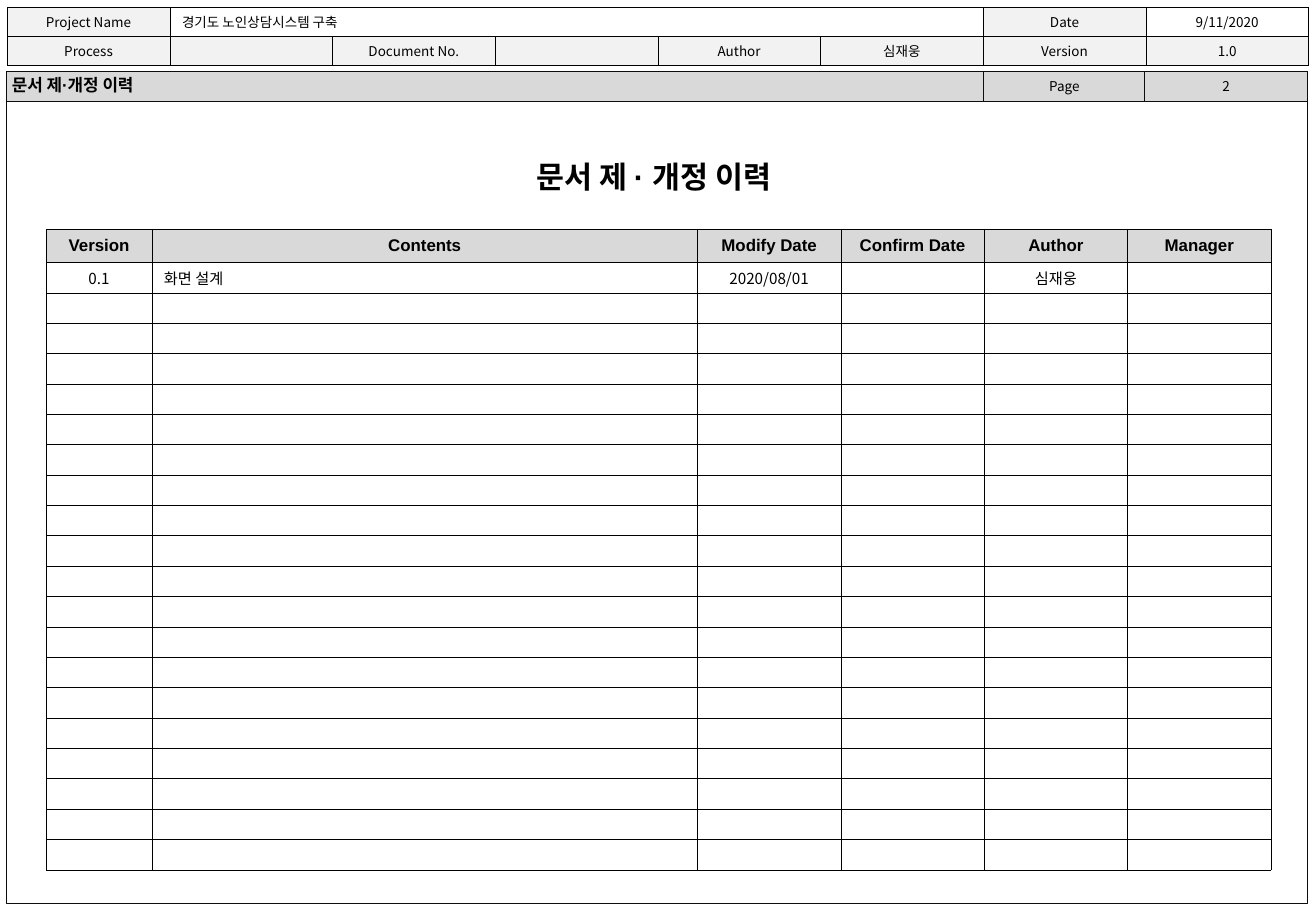
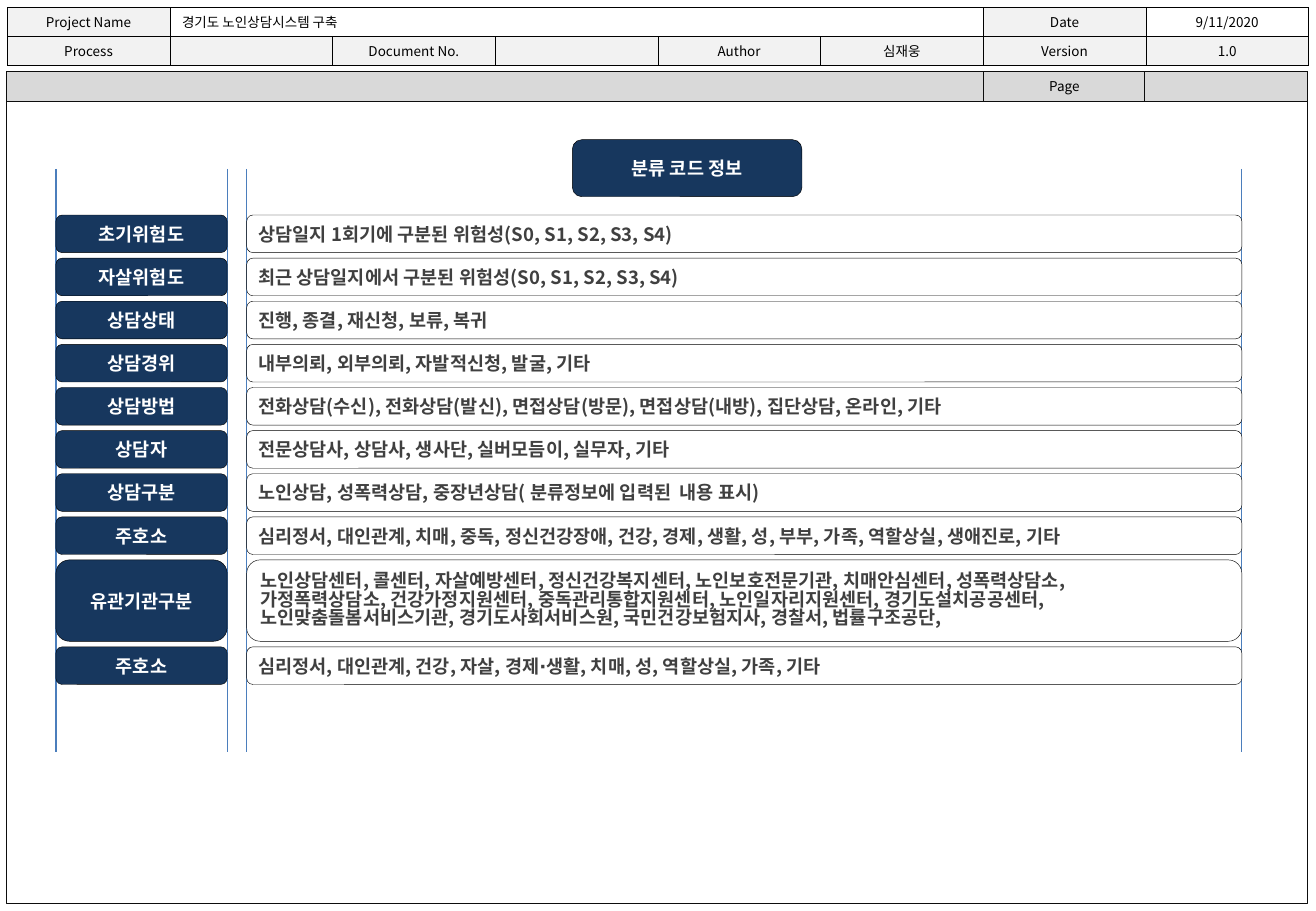
import pptx
import pptx.util
import pptx.dml.color
import pptx.enum.shapes
import pptx.enum.text
import pptx.oxml.ns
import lxml.etree

Inches = pptx.util.Inches
Pt = pptx.util.Pt
ALIGN = pptx.enum.text.PP_ALIGN
SHAPE = pptx.enum.shapes.MSO_SHAPE
rgb = pptx.dml.color.RGBColor.from_string
qn = pptx.oxml.ns.qn

COLORS = {"black": "000000", "white": "FFFFFF", "frame": "0D0D0D", "band": "D9D9D9",
          "label": "F2F2F2", "navy": "17375E", "body": "404040", "guide": "4B7EBC"}
KOREAN, LATIN = "Noto Sans CJK KR", "Arial"


def write(frame, text, size, color="black", bold=False, align=ALIGN.CENTER,
          font=KOREAN, spacing=None):
    frame.text = text
    frame.word_wrap = True
    frame.vertical_anchor = pptx.enum.text.MSO_ANCHOR.MIDDLE
    for paragraph in frame.paragraphs:
        paragraph.alignment = align
        if spacing:
            paragraph.line_spacing = spacing
        for run in paragraph.runs:
            run.font.size, run.font.bold, run.font.name = Pt(size), bold, font
            run.font.color.rgb = rgb(COLORS[color])
            east_asian = lxml.etree.SubElement(run.font._element, qn("a:ea"))
            east_asian.set("typeface", KOREAN)
        if not paragraph.runs:
            # An empty cell keeps its row low only with a small end mark
            end_mark = lxml.etree.SubElement(paragraph._p, qn("a:endParaRPr"))
            end_mark.set("sz", str(size * 100))


def add_box(slide, preset, left, top, width, height, fill, line):
    box = slide.shapes.add_shape(preset, Inches(left), Inches(top), Inches(width), Inches(height))
    box.shadow.inherit = False
    if fill:
        box.fill.solid()
        box.fill.fore_color.rgb = rgb(COLORS[fill])
    else:
        box.fill.background()
    box.line.color.rgb = rgb(COLORS[line])
    box.line.width = Pt(0.25)
    frame = box.text_frame
    frame.margin_left = frame.margin_right = Inches(0.08)
    return box


prs = pptx.Presentation()
prs.slide_width, prs.slide_height = Inches(10.83), Inches(7.5)
history = prs.slides.add_slide(prs.slide_layouts[6])
codes = prs.slides.add_slide(prs.slide_layouts[6])
grids = []  # table, texts by row, fills by row, text size

# Shared frame, project table and page band
project_texts = [
    ["Project Name", "경기도 노인상담시스템 구축", "", "", "", "", "Date", "9/11/2020"],
    ["Process", "", "Document No.", "", "Author", "심재웅", "Version", "1.0"]]
project_fills = [["label"] + ["white"] * 5 + ["label", "white"], ["label"] * 8]
for slide, page in ((history, "2"), (codes, "")):
    add_box(slide, SHAPE.RECTANGLE, 0.05, 0.59, 10.71, 6.85, None, "frame")
    project = slide.shapes.add_table(2, 8, Inches(0.06), Inches(0.06),
                                     Inches(10.71), Inches(0.48)).table
    project.cell(0, 1).merge(project.cell(0, 5))
    grids.append((project, project_texts, project_fills, 8))
    for left, width, text in ((0.05, 10.71, ""), (8.09, 1.34, "Page"), (9.42, 1.34, page)):
        band = add_box(slide, SHAPE.RECTANGLE, left, 0.59, width, 0.24, "band", "frame")
        write(band.text_frame, text, 8)

# Revision history: titles
band_title = history.shapes.add_textbox(Inches(0), Inches(0.62), Inches(8), Inches(0.16))
write(band_title.text_frame, "문서 제·개정 이력", 10, bold=True, align=ALIGN.LEFT, font=LATIN)
page_title = history.shapes.add_textbox(Inches(1.52), Inches(1.1), Inches(7.72), Inches(0.5))
write(page_title.text_frame, "문서 제 · 개정 이력", 18, bold=True, font=LATIN, spacing=1.5)
page_title.text_frame.vertical_anchor = pptx.enum.text.MSO_ANCHOR.TOP

# Revision history: table
revision_texts = [
    ["Version", "Contents", "Modify Date", "Confirm Date", "Author", "Manager"],
    ["0.1", "화면 설계", "2020/08/01", "", "심재웅", ""]] + [[""] * 6] * 19
revision_fills = [["band"] * 6] + [["white"] * 6] * 20
revisions = history.shapes.add_table(21, 6, Inches(0.38), Inches(1.89),
                                     Inches(10.08), Inches(5.27)).table
for column, width in zip(revisions.columns, (0.87, 4.49, 1.18, 1.18, 1.18, 1.18)):
    column.width = Inches(width)
for row in revisions.rows:
    row.height = Inches(0.25)
revisions.rows[0].height = Inches(0.27)
grids.append((revisions, revision_texts, revision_fills, 9))

# Cells of all tables
for table, texts, fills, size in grids:
    table.first_row = table.horz_banding = False
    for r, row_texts in enumerate(texts):
        for c, text in enumerate(row_texts):
            cell = table.cell(r, c)
            cell.margin_top = cell.margin_bottom = Inches(0.02)
            heading = fills[r][c] == "band"
            write(cell.text_frame, text, 10 if heading else size, bold=heading,
                  align=ALIGN.LEFT if c == 1 and not heading else ALIGN.CENTER,
                  font=LATIN if heading else KOREAN)
            cell.vertical_anchor = pptx.enum.text.MSO_ANCHOR.MIDDLE
            for side in ("a:lnL", "a:lnR", "a:lnT", "a:lnB"):
                border = lxml.etree.SubElement(cell._tc.get_or_add_tcPr(), qn(side))
                border.set("w", str(Pt(0.25)))
                stroke = lxml.etree.SubElement(border, qn("a:solidFill"))
                lxml.etree.SubElement(stroke, qn("a:srgbClr")).set("val", COLORS["black"])
            cell.fill.solid()
            cell.fill.fore_color.rgb = rgb(COLORS[fills[r][c]])

# Classification codes: heading and guide lines
heading_box = add_box(codes, SHAPE.ROUNDED_RECTANGLE, 4.71, 1.15, 1.89, 0.47, "navy", "black")
write(heading_box.text_frame, "분류 코드 정보", 11, "white", True)
for x in (0.46, 1.87, 2.03, 10.22):
    guide = codes.shapes.add_connector(pptx.enum.shapes.MSO_CONNECTOR.STRAIGHT,
                                       Inches(x), Inches(1.39), Inches(x), Inches(6.19))
    guide.line.color.rgb = rgb(COLORS["guide"])
    guide.line.width = Pt(0.75)
    lxml.etree.SubElement(guide._element.spPr, qn("a:effectLst"))

# Classification codes: one label and one value box per row
code_rows = [
    ("초기위험도", "상담일지 1회기에 구분된 위험성(S0, S1, S2, S3, S4)"),
    ("자살위험도", "최근 상담일지에서 구분된 위험성(S0, S1, S2, S3, S4)"),
    ("상담상태", "진행, 종결, 재신청, 보류, 복귀"),
    ("상담경위", "내부의뢰, 외부의뢰, 자발적신청, 발굴, 기타"),
    ("상담방법", "전화상담(수신), 전화상담(발신), 면접상담(방문), 면접상담(내방), 집단상담, 온라인, 기타"),
    ("상담자", "전문상담사, 상담사, 생사단, 실버모듬이, 실무자, 기타"),
    ("상담구분", "노인상담, 성폭력상담, 중장년상담( 분류정보에 입력된  내용 표시)"),
    ("주호소", "심리정서, 대인관계, 치매, 중독, 정신건강장애, 건강, 경제, 생활, 성, 부부, 가족, "
              "역할상실, 생애진로, 기타"),
    ("유관기관구분",
     "노인상담센터, 콜센터, 자살예방센터, 정신건강복지센터, 노인보호전문기관, 치매안심센터, 성폭력상담소,\n"
     "가정폭력상담소, 건강가정지원센터, 중독관리통합지원센터, 노인일자리지원센터, 경기도설치공공센터,\n"
     "노인맞춤돌봄서비스기관, 경기도사회서비스원, 국민건강보험지사, 경찰서, 법률구조공단,"),
    ("주호소", "심리정서, 대인관계, 건강, 자살, 경제∙생활, 치매, 성, 역할상실, 가족, 기타")]
first_top, tall_top, row_height, tall_height = 1.77, 4.61, 0.31, 0.67
gap = (tall_top - first_top) / 8 - row_height
top = first_top
for label, value in code_rows:
    tall = "\n" in value
    height = tall_height if tall else row_height
    label_box = add_box(codes, SHAPE.ROUNDED_RECTANGLE, 0.46, top, 1.41, height, "navy", "black")
    write(label_box.text_frame, label, 11, "white", True)
    value_box = add_box(codes, SHAPE.ROUNDED_RECTANGLE, 2.03, top, 8.19, height, "white", "black")
    write(value_box.text_frame, value, 11, "body", True, ALIGN.LEFT,
          spacing=0.82 if tall else None)
    top += height + gap

prs.save("out.pptx")
